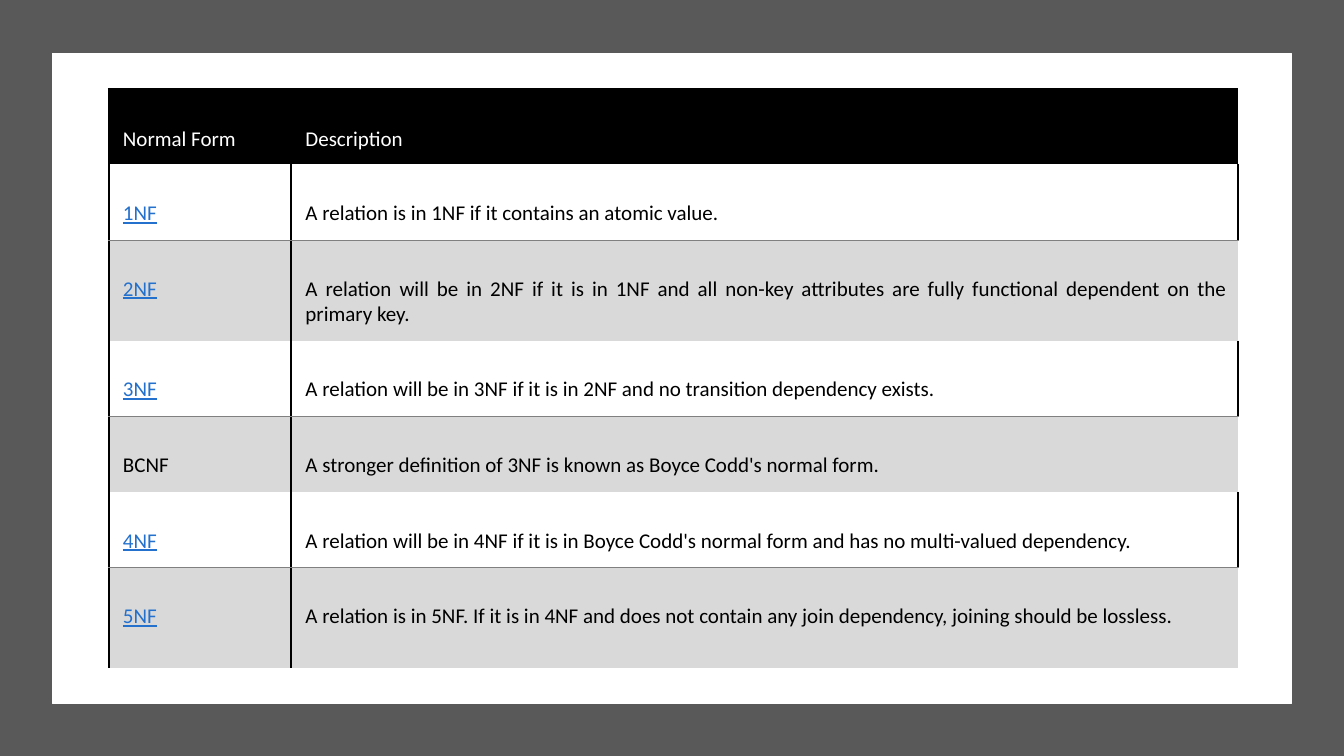
import pptx
import pptx.util
import pptx.dml.color
import pptx.enum.shapes
import pptx.enum.text
import pptx.oxml
import pptx.oxml.ns

Inches = pptx.util.Inches
Pt = pptx.util.Pt
ALIGN = pptx.enum.text.PP_ALIGN
ANCHOR = pptx.enum.text.MSO_ANCHOR

BLACK, WHITE, GREY = "000000", "FFFFFF", "D9D9D9"
SOLID = (BLACK, 1.5)
THIN = ("808080", 0.5)
HEAD = ("Normal Form", "Description")
FORMS = [
    ("1NF", "A relation is in 1NF if it contains an atomic value."),
    ("2NF", "A relation will be in 2NF if it is in 1NF and all non-key attributes "
            "are fully functional dependent on the primary key."),
    ("3NF", "A relation will be in 3NF if it is in 2NF and no transition dependency exists."),
    ("BCNF", "A stronger definition of 3NF is known as Boyce Codd's normal form."),
    ("4NF", "A relation will be in 4NF if it is in Boyce Codd's normal form "
            "and has no multi-valued dependency."),
    ("5NF", "A relation is in 5NF. If it is in 4NF and does not contain any join "
            "dependency, joining should be lossless."),
]
WIDTHS = (1.81, 9.39)
HEIGHTS = (0.75, 0.75, 1, 0.75, 0.75, 0.75, 1)
MARGINS = {"margin_left": 0.14, "margin_top": 0.36,
           "margin_right": 0.11, "margin_bottom": 0.11}


def color(code):
    return pptx.dml.color.RGBColor.from_string(code)


def set_all(target, values):
    for name, value in values.items():
        setattr(target, name, value)


def paint(item, code):
    item.fill.solid()
    item.fill.fore_color.rgb = color(code)


def add_panel(slide, box, fill, line=None):
    panel = slide.shapes.add_shape(
        pptx.enum.shapes.MSO_SHAPE.RECTANGLE, *map(Inches, box))
    panel.shadow.inherit = False
    paint(panel, fill)
    if line:
        panel.line.color.rgb = color(line)
        panel.line.width = Pt(1)
    else:
        panel.line.fill.background()


def add_edge(cell, side, edge):
    """Draw one cell border; an edge of None hides it."""
    space = pptx.oxml.ns.nsdecls("a")
    if edge:
        code, width = edge
        xml = (f'<a:ln{side} {space} w="{int(Pt(width))}"><a:solidFill>'
               f'<a:srgbClr val="{code}"/></a:solidFill></a:ln{side}>')
    else:
        xml = f'<a:ln{side} {space} w="0"><a:noFill/></a:ln{side}>'
    cell._tc.get_or_add_tcPr().append(pptx.oxml.parse_xml(xml))


def add_edges(cell, row, col):
    head, shaded = row == 0, row > 0 and row % 2 == 0
    inner = None if head else SOLID
    outer = SOLID if row % 2 else None
    edges = {
        "L": inner if col else SOLID,
        "R": outer if col else inner,
        "T": SOLID if head else THIN if shaded else None,
        "B": THIN if row % 2 else None,
    }
    for side, edge in edges.items():
        add_edge(cell, side, edge)


def fill_cell(cell, text, row, col):
    head = row == 0
    add_edges(cell, row, col)
    paint(cell, BLACK if head else WHITE if row % 2 else GREY)
    set_all(cell, {name: Inches(size) for name, size in MARGINS.items()})
    cell.vertical_anchor = ANCHOR.MIDDLE if head else ANCHOR.TOP
    para = cell.text_frame.paragraphs[0]
    para.alignment = ALIGN.LEFT if head else ALIGN.JUSTIFY
    run = para.add_run()
    run.text = text
    linked = not head and col == 0 and text != "BCNF"
    set_all(run.font, {"name": "Calibri", "size": Pt(15), "bold": False,
                       "underline": linked})
    run.font.color.rgb = color(WHITE if head else "2370CD" if linked else BLACK)


def add_forms(slide):
    rows = [HEAD, *FORMS]
    box = (1.08, 0.88, sum(WIDTHS), sum(HEIGHTS))
    table = slide.shapes.add_table(
        len(rows), len(WIDTHS), *map(Inches, box)).table
    set_all(table, {"first_row": False, "horz_banding": False})
    for column, width in zip(table.columns, WIDTHS):
        column.width = Inches(width)
    for row, texts in enumerate(rows):
        table.rows[row].height = Inches(HEIGHTS[row])
        for col, text in enumerate(texts):
            fill_cell(table.cell(row, col), text, row, col)


def main():
    deck = pptx.Presentation()
    set_all(deck, {"slide_width": Inches(13.33), "slide_height": Inches(7.5)})
    slide = deck.slides.add_slide(deck.slide_layouts[6])
    add_panel(slide, (0, 0, 13.33, 7.5), "595959")
    add_panel(slide, (0.52, 0.53, 12.29, 6.45), WHITE, WHITE)
    add_forms(slide)
    deck.save("out.pptx")


if __name__ == "__main__":
    main()
